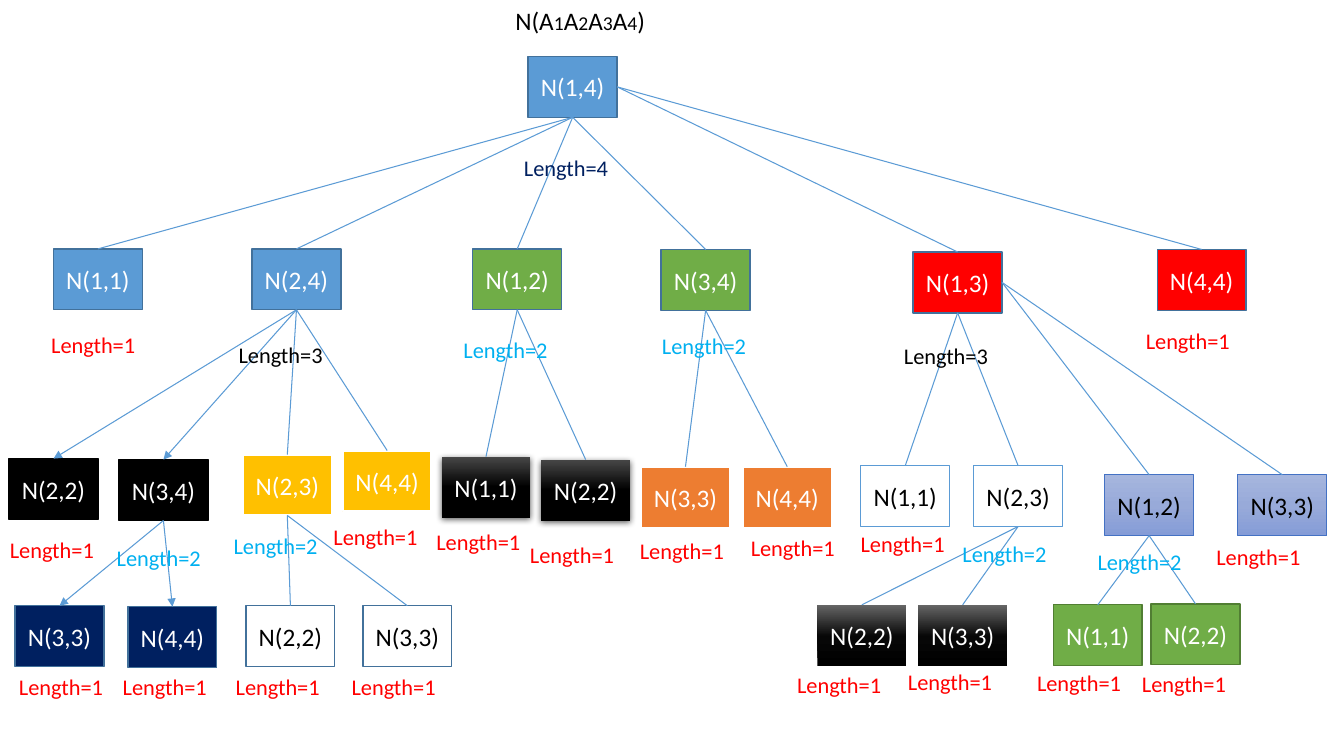
from dataclasses import dataclass
from typing import Optional

from lxml.etree import SubElement
from pptx import Presentation
from pptx.dml.color import RGBColor
from pptx.enum.shapes import MSO_CONNECTOR as Connector, MSO_SHAPE as Preset
from pptx.enum.text import MSO_ANCHOR as Anchor, MSO_AUTO_SIZE as AutoSize, PP_ALIGN as Align
from pptx.oxml.ns import qn
from pptx.util import Pt

WHITE = RGBColor(0xFF, 0xFF, 0xFF)
BLACK = RGBColor(0, 0, 0)
RED = RGBColor(0xFF, 0, 0)
CYAN = RGBColor(0, 0xB0, 0xF0)
NAVY = RGBColor(0, 0x20, 0x60)
BLUE = RGBColor(0x5B, 0x9B, 0xD5)
STEEL = RGBColor(0x42, 0x71, 0x9B)
GREEN = RGBColor(0x70, 0xAD, 0x47)
MOSS = RGBColor(0x51, 0x7E, 0x33)
ORANGE = RGBColor(0xED, 0x7D, 0x31)
GOLD = RGBColor(0xFF, 0xC0, 0)
INDIGO = RGBColor(0x44, 0x72, 0xC4)
CHARCOAL = RGBColor(0x47, 0x47, 0x47)
SOOT = RGBColor(0x07, 0x07, 0x07)
GREY = RGBColor(0x66, 0x66, 0x66)
MIST = RGBColor(0xA6, 0xB6, 0xDE)
HAZE = RGBColor(0x98, 0xAA, 0xD9)
LAVENDER = RGBColor(0x85, 0x9C, 0xD7)

FONT = "Calibri"
NODE_WIDTH, NODE_HEIGHT = 63.5, 43.5
LABEL_WIDTH, LABEL_HEIGHT = 77, 26.6
LENGTH_COLORS = {1: RED, 2: CYAN, 3: BLACK, 4: NAVY}
BOTTOM_SITE, RIGHT_SITE, TOP_SITE = 2, 3, 0


@dataclass
class Style:
    fill: Optional[RGBColor] = None
    line: Optional[RGBColor] = STEEL
    width: float = 1
    text: RGBColor = WHITE
    stops: tuple = ()
    angle: int = 90
    shadow: bool = False


BLUE_NODE = Style(BLUE)
GREEN_NODE = Style(GREEN)
RED_NODE = Style(RED)
NAVY_NODE = Style(NAVY)
BLACK_NODE = Style(BLACK, BLACK)
GOLD_NODE = Style(GOLD, WHITE, 1.5)
ORANGE_NODE = Style(ORANGE, WHITE, 1.5)
MOSS_NODE = Style(GREEN, MOSS)
PLAIN_NODE = Style(WHITE, STEEL, text=BLACK)
OUTLINE_NODE = Style(WHITE, BLUE, text=BLACK)
RAISED_NODE = Style(line=None, stops=((0, CHARCOAL), (50, BLACK), (100, BLACK)), shadow=True)
SHADED_NODE = Style(line=None, stops=((0, BLACK), (48, SOOT), (100, GREY)), angle=270)
LAVENDER_NODE = Style(line=INDIGO, width=0.75, text=BLACK,
                      stops=((0, MIST), (50, HAZE), (100, LAVENDER)))


@dataclass
class Node:
    """The chain from first to last, with the corners of its box and length label."""
    first: int
    last: int
    corner: tuple
    label: tuple
    style: Style
    children: tuple = ()
    site: int = BOTTOM_SITE
    arrow: bool = False


TREE = Node(1, 4, (377.3, 40.3), (367.2, 106.6), BLUE_NODE, (
    Node(1, 1, (38.2, 177.8), (29.5, 233.3), BLUE_NODE),
    Node(2, 4, (180, 177.8), (163.4, 239.8), BLUE_NODE, (
        Node(2, 2, (6.5, 327.6), (0, 379.4), BLACK_NODE, arrow=True),
        Node(3, 4, (85, 328.3), (76.3, 385.2), BLACK_NODE, (
            Node(3, 3, (10.8, 432.7), (6.5, 477.4), NAVY_NODE, arrow=True),
            Node(4, 4, (91.4, 433.4), (80.6, 477.4), NAVY_NODE, arrow=True)), arrow=True),
        Node(2, 3, (173.5, 324.7), (159.8, 376.6), GOLD_NODE, (
            Node(2, 2, (175.7, 432.7), (161.3, 477.4), PLAIN_NODE),
            Node(3, 3, (259.2, 432.7), (244.1, 477.4), PLAIN_NODE))),
        Node(4, 4, (244.8, 321.8), (231.1, 370.1), GOLD_NODE))),
    Node(1, 2, (337.7, 177.8), (324, 236.9), GREEN_NODE, (
        Node(1, 1, (315.4, 326.2), (304.6, 373.7), RAISED_NODE),
        Node(2, 2, (386.6, 328.3), (371.5, 383), RAISED_NODE))),
    Node(3, 4, (472.3, 178.2), (465.8, 234), GREEN_NODE, (
        Node(3, 3, (457.9, 333.4), (450, 380.2), ORANGE_NODE),
        Node(4, 4, (530.6, 333.4), (529.2, 378), ORANGE_NODE))),
    Node(1, 3, (652.3, 180), (638.6, 241.2), RED_NODE, (
        Node(1, 1, (614.9, 332.6), (607.7, 375.1), OUTLINE_NODE),
        Node(2, 3, (695.5, 332.6), (680.4, 382.3), OUTLINE_NODE, (
            Node(2, 2, (583.9, 432), (562.3, 475.9), SHADED_NODE),
            Node(3, 3, (655.9, 432), (641.5, 473.8), SHADED_NODE))),
        Node(1, 2, (789.1, 339.1), (776.9, 388.1), LAVENDER_NODE, (
            Node(1, 1, (752.4, 432), (733.7, 474.5), MOSS_NODE),
            Node(2, 2, (822.2, 431.3), (808.6, 475.2), MOSS_NODE)), RIGHT_SITE),
        Node(3, 3, (884.2, 339.1), (861.8, 384.5), LAVENDER_NODE, site=RIGHT_SITE)), RIGHT_SITE),
    Node(4, 4, (826.6, 178.2), (811.4, 230.4), RED_NODE, site=RIGHT_SITE)))


def set_format(target, values):
    for name, value in values.items():
        setattr(target, name, value)


def add_span(para, text, size, color):
    span = para.add_run()
    span.text = text
    set_format(span.font, {"name": FONT, "size": Pt(size)})
    span.font.color.rgb = color


def add_color(parent, color):
    return SubElement(parent, qn("a:srgbClr"), val=str(color))


def fill_gradient(shape, style):
    shape.fill.gradient()
    shape.fill.gradient_angle = (360 - style.angle) % 360
    stop_list = next(shape._element.spPr.iter(qn("a:gsLst")))
    for stop in list(stop_list):
        stop_list.remove(stop)
    for position, color in style.stops:
        add_color(SubElement(stop_list, qn("a:gs"), pos=str(position * 1000)), color)


def add_shadow(shape):
    effects = shape._element.spPr.find(qn("a:effectLst"))
    shadow = SubElement(effects, qn("a:outerShdw"), blurRad=str(Pt(4.5)),
                        dist=str(Pt(1.5)), dir="5400000", rotWithShape="0")
    SubElement(add_color(shadow, BLACK), qn("a:alpha"), val="62000")


def add_text_box(page, left, top, width, height):
    box = page.shapes.add_textbox(Pt(left), Pt(top), Pt(width), Pt(height))
    set_format(box.text_frame, {"word_wrap": True, "auto_size": AutoSize.SHAPE_TO_FIT_TEXT})
    return box.text_frame.paragraphs[0]


def draw_node(page, node, left, top):
    style = node.style
    shape = page.shapes.add_shape(Preset.RECTANGLE, Pt(left + node.corner[0]),
                                  Pt(top + node.corner[1]), Pt(NODE_WIDTH), Pt(NODE_HEIGHT))
    shape.shadow.inherit = False
    if style.stops:
        fill_gradient(shape, style)
    else:
        shape.fill.solid()
        shape.fill.fore_color.rgb = style.fill
    if style.line is None:
        shape.line.fill.background()
    else:
        shape.line.color.rgb = style.line
        shape.line.width = Pt(style.width)
    if style.shadow:
        add_shadow(shape)
    shape.text_frame.vertical_anchor = Anchor.MIDDLE
    para = shape.text_frame.paragraphs[0]
    para.alignment = Align.CENTER
    add_span(para, f"N({node.first},{node.last})", 18, style.text)
    return shape


def draw_edge(page, parent, child, node):
    edge = page.shapes.add_connector(Connector.STRAIGHT, 0, 0, 0, 0)
    edge.begin_connect(parent, node.site)
    edge.end_connect(child, TOP_SITE)
    edge.line.color.rgb = BLUE
    edge.line.width = Pt(0.75)
    if node.arrow:
        SubElement(edge.line._get_or_add_ln(), qn("a:tailEnd"), type="triangle")
    SubElement(edge._element.spPr, qn("a:effectLst"))


def draw_branch(page, node, left, top):
    """Draw a node, everything below it and the edges between them."""
    parent = draw_node(page, node, left, top)
    for child in node.children:
        draw_edge(page, parent, draw_branch(page, child, left, top), child)
    return parent


def draw_lengths(page, node, left, top):
    length = node.last - node.first + 1
    para = add_text_box(page, left + node.label[0], top + node.label[1], LABEL_WIDTH, LABEL_HEIGHT)
    add_span(para, f"Length={length}", 16, LENGTH_COLORS[length])
    for child in node.children:
        draw_lengths(page, child, left, top)


def draw_title(page, left, top, width, height):
    para = add_text_box(page, left, top, width, height)
    for text in ("N(A", "1", "A", "2", "A", "3", "A", "4", ")"):
        add_span(para, text, 14 if text.isdigit() else 18, BLACK)


def main():
    deck = Presentation()
    set_format(deck, {"slide_width": Pt(960), "slide_height": Pt(540)})
    page = deck.slides.add_slide(deck.slide_layouts[6])
    draw_title(page, 361, 0, 110, 31)
    draw_branch(page, TREE, 0, 0)
    draw_lengths(page, TREE, 0, 0)
    deck.save("out.pptx")


if __name__ == "__main__":
    main()
